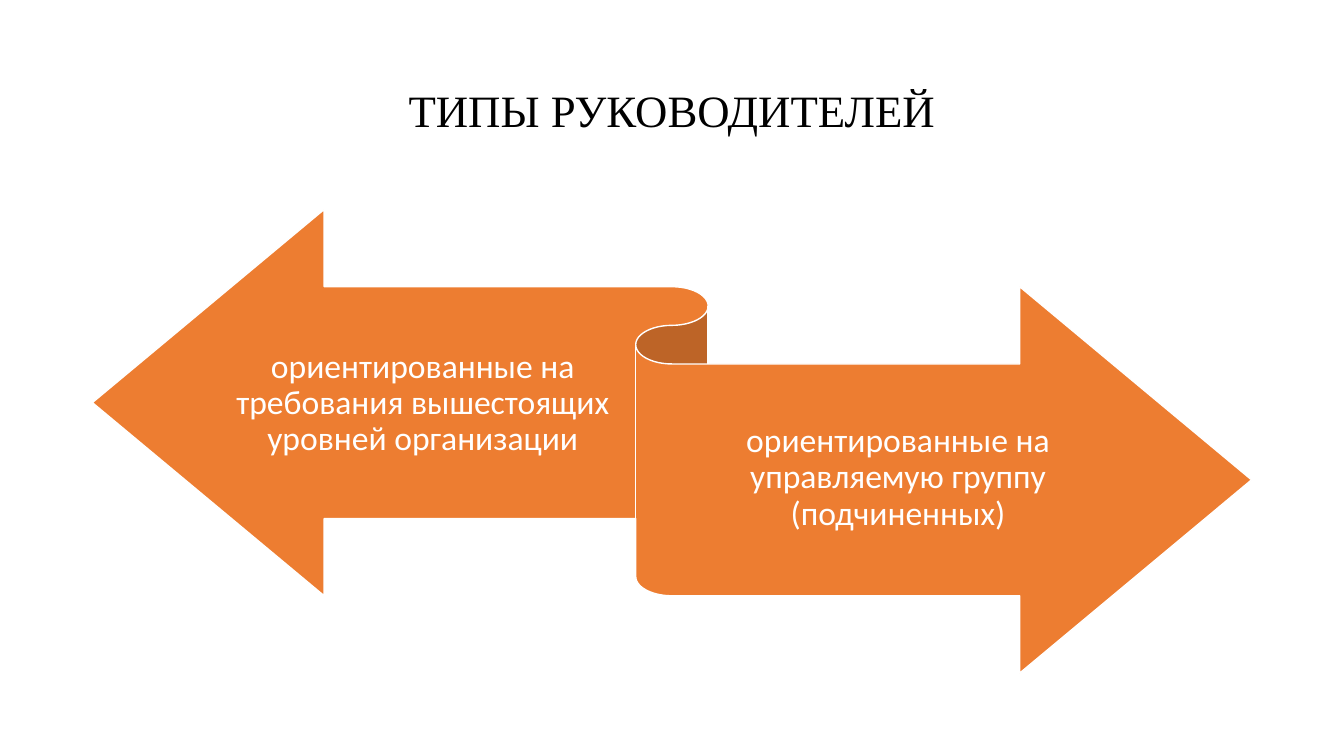
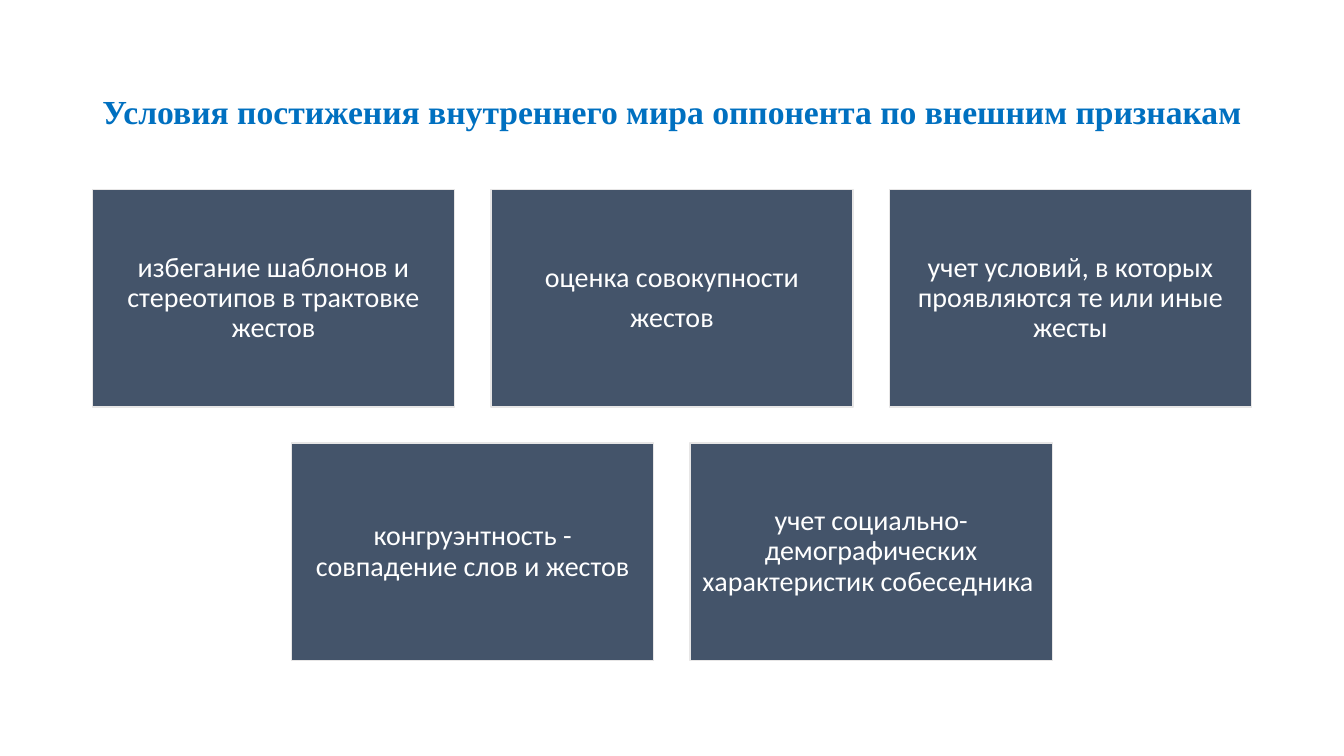
"""Builds two slides: types of managers and conditions for reading an opponent."""
from pptx import Presentation
from pptx.dml.color import RGBColor as Rgb
from pptx.enum.shapes import MSO_SHAPE as Shape
from pptx.enum.text import MSO_ANCHOR as Anchor, PP_ALIGN as Align
from pptx.util import Pt

COLORS = {
    "heading": "000000",
    "accent_heading": "0070C0",
    "ribbon": "ED7D31",
    "card": "44546A",
    "card_edge": "E7E6E6",
    "light": "FFFFFF",
}
HEADING_FONT, BODY_FONT = "Times New Roman", "Calibri"
SLIDE_WIDTH, SLIDE_HEIGHT = 960, 540
MARGIN = 66
CONTENT_WIDTH = SLIDE_WIDTH - 2 * MARGIN

RIBBON_TOP, RIBBON_HEIGHT = 149.6, 331.2
RIBBON_LABELS = [
    (0.12, 0.175, 0.33, "ориентированные на требования вышестоящих уровней организации"),
    (0.5, 0.335, 0.39, "ориентированные на управляемую группу (подчиненных)"),
]

CARD_TOP = 135.4
CARD_WIDTH = CONTENT_WIDTH / 3.2
CARD_HEIGHT = CARD_WIDTH * 0.6
CARD_GAP = CARD_WIDTH * 0.1
CARD_ROWS = [
    [
        ["избегание шаблонов и стереотипов в трактовке жестов"],
        ["оценка совокупности", "жестов"],
        ["учет условий, в которых проявляются те или иные жесты"],
    ],
    [
        ["конгруэнтность - совпадение слов и жестов"],
        ["учет социально-демографических характеристик собеседника "],
    ],
]


def color(name):
    return Rgb.from_string(COLORS[name])


def write(holder, paragraphs, size, font=BODY_FONT, ink="light", bold=False,
          insets=(7.2, 3.6, 7.2, 3.6)):
    frame = holder.text_frame
    frame.word_wrap = True
    frame.vertical_anchor = Anchor.MIDDLE
    (frame.margin_left, frame.margin_top,
     frame.margin_right, frame.margin_bottom) = map(Pt, insets)
    for index, words in enumerate(paragraphs):
        paragraph = frame.add_paragraph() if index else frame.paragraphs[0]
        paragraph.alignment = Align.CENTER
        paragraph.line_spacing = 0.9
        paragraph.space_after = Pt(size * 0.35)
        run = paragraph.add_run()
        run.text = words
        run.font.name = font
        run.font.size = Pt(size)
        run.font.bold = bold
        run.font.color.rgb = color(ink)


def add_heading(slide, words, size, ink, bold=False):
    heading = slide.shapes.add_textbox(Pt(MARGIN), Pt(28.8), Pt(CONTENT_WIDTH), Pt(104.4))
    write(heading, [words], size, HEADING_FONT, ink, bold)


def add_figure(slide, kind, left, top, width, height, fill, edge):
    figure = slide.shapes.add_shape(kind, Pt(left), Pt(top), Pt(width), Pt(height))
    figure.shadow.inherit = False
    figure.fill.solid()
    figure.fill.fore_color.rgb = color(fill)
    figure.line.color.rgb = color(edge)
    figure.line.width = Pt(1)
    return figure


def add_ribbon(slide):
    add_figure(slide, Shape.LEFT_RIGHT_RIBBON, MARGIN, RIBBON_TOP,
               CONTENT_WIDTH, RIBBON_HEIGHT, "ribbon", "light")
    for x_share, y_share, width_share, words in RIBBON_LABELS:
        label = slide.shapes.add_textbox(
            Pt(MARGIN + x_share * CONTENT_WIDTH), Pt(RIBBON_TOP + y_share * RIBBON_HEIGHT),
            Pt(width_share * CONTENT_WIDTH), Pt(0.49 * RIBBON_HEIGHT))
        write(label, [words], 24, insets=(0, 6.5, 0, 7.2))


def add_cards(slide):
    for row, cards in enumerate(CARD_ROWS):
        row_width = len(cards) * (CARD_WIDTH + CARD_GAP) - CARD_GAP
        row_left = (SLIDE_WIDTH - row_width) / 2
        top = CARD_TOP + row * (CARD_HEIGHT + CARD_GAP)
        for column, paragraphs in enumerate(cards):
            left = row_left + column * (CARD_WIDTH + CARD_GAP)
            card = add_figure(slide, Shape.RECTANGLE, left, top,
                              CARD_WIDTH, CARD_HEIGHT, "card", "card_edge")
            write(card, paragraphs, 20, insets=(6, 6, 6, 6))


def main():
    deck = Presentation()
    deck.slide_width, deck.slide_height = Pt(SLIDE_WIDTH), Pt(SLIDE_HEIGHT)
    blank = deck.slide_layouts[6]

    managers = deck.slides.add_slide(blank)
    add_heading(managers, "ТИПЫ РУКОВОДИТЕЛЕЙ", 32, "heading")
    add_ribbon(managers)

    conditions = deck.slides.add_slide(blank)
    add_heading(conditions, "Условия постижения внутреннего мира оппонента по внешним признакам",
                24, "accent_heading", bold=True)
    add_cards(conditions)

    deck.save("out.pptx")


if __name__ == "__main__":
    main()
